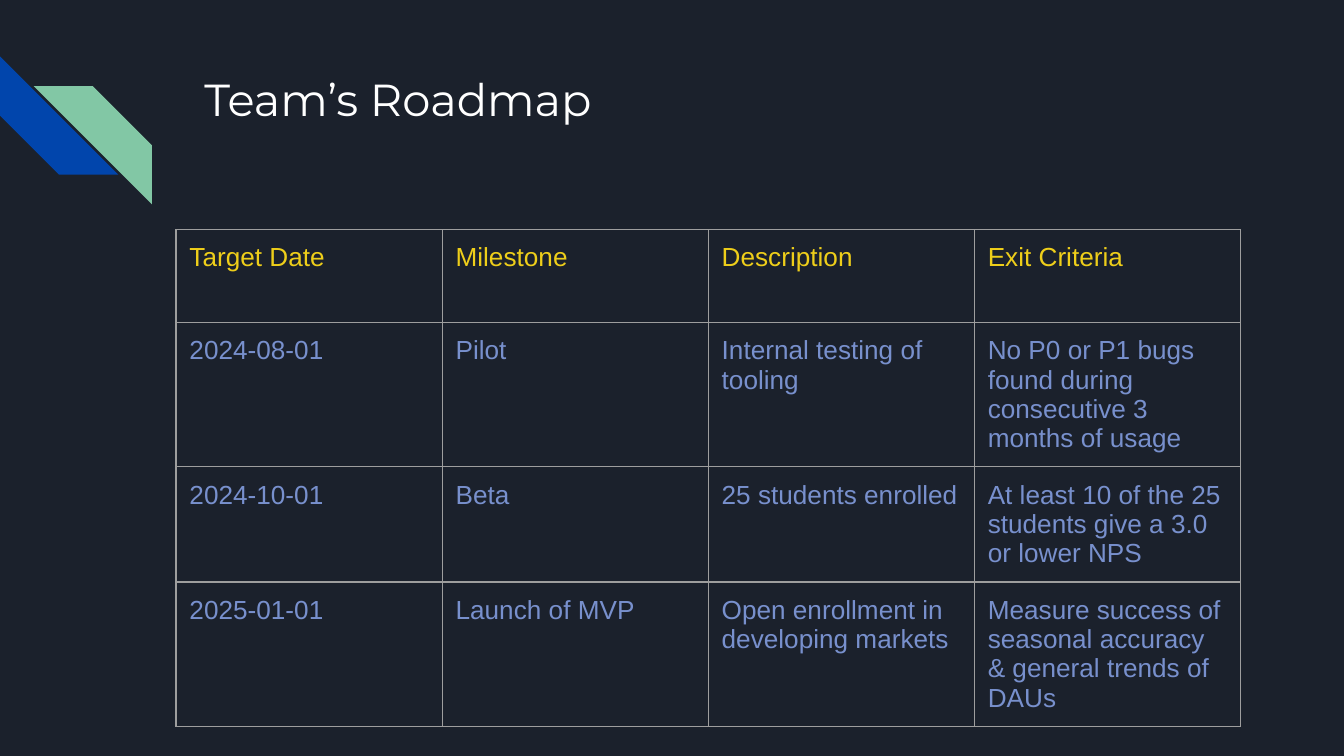
from dataclasses import dataclass

from lxml.etree import SubElement
from pptx import Presentation
from pptx.dml.color import RGBColor
from pptx.enum.shapes import MSO_SHAPE
from pptx.enum.text import MSO_ANCHOR, MSO_AUTO_SIZE, PP_ALIGN
from pptx.oxml.ns import qn
from pptx.util import Inches, Pt


@dataclass(frozen=True)
class Theme:
    background: str = "1B212C"
    blue: str = "0145AC"
    green: str = "82C7A5"
    title: str = "FFFFFF"
    heading: str = "EECE1A"
    body: str = "7890CD"
    border: str = "9E9E9E"
    title_font: str = "Montserrat"
    table_font: str = "Arial"
    title_size: int = 24
    table_size: int = 14
    border_width: float = 0.75


theme = Theme()


def style(paragraph, font_name, size, color):
    paragraph.alignment = PP_ALIGN.LEFT
    paragraph.font.name = font_name
    paragraph.font.size = Pt(size)
    paragraph.font.bold = False
    paragraph.font.color.rgb = RGBColor.from_string(color)


def add_borders(cell):
    properties = cell._tc.get_or_add_tcPr()
    for side in ("lnL", "lnR", "lnT", "lnB"):
        line = SubElement(properties, qn(f"a:{side}"), w=str(Pt(theme.border_width)))
        fill = SubElement(line, qn("a:solidFill"))
        SubElement(fill, qn("a:srgbClr"), val=theme.border)


prs = Presentation()
prs.slide_width, prs.slide_height = Inches(10), Inches(5.625)
slide = prs.slides.add_slide(prs.slide_layouts[5])
slide.background.fill.solid()
slide.background.fill.fore_color.rgb = RGBColor.from_string(theme.background)

for left, top, rotation, color in (
    (0, 0.42, 270, theme.blue),
    (0.25, 0.64, 90, theme.green),
):
    stripe = slide.shapes.add_shape(
        MSO_SHAPE.DIAGONAL_STRIPE, Inches(left), Inches(top), Inches(0.88), Inches(0.88)
    )
    stripe.rotation = rotation
    stripe.shadow.inherit = False
    stripe.fill.solid()
    stripe.fill.fore_color.rgb = RGBColor.from_string(color)
    stripe.line.fill.background()

title = slide.shapes.title
title.left, title.top = Inches(1.42), Inches(0.43)
title.width, title.height = Inches(7.7), Inches(1)
heading = title.text_frame
heading.text = "Team’s Roadmap"
heading.word_wrap = True
heading.auto_size = MSO_AUTO_SIZE.NONE
heading.vertical_anchor = MSO_ANCHOR.TOP
heading.margin_left = heading.margin_right = Inches(0.1)
heading.margin_top = heading.margin_bottom = Inches(0.1)
style(heading.paragraphs[0], theme.title_font, theme.title_size, theme.title)

milestones = [
    ("Target Date", "Milestone", "Description", "Exit Criteria"),
    ("2024-08-01", "Pilot", "Internal testing of tooling",
     "No P0 or P1 bugs found during consecutive 3 months of usage"),
    ("2024-10-01", "Beta", "25 students enrolled",
     "At least 10 of the 25 students give a 3.0 or lower NPS"),
    ("2025-01-01", "Launch of MVP", "Open enrollment in developing markets",
     "Measure success of seasonal accuracy & general trends of DAUs"),
]
row_heights = (0.69, 0.42, 0.42, 0.42)
column_width = 1.98

roadmap = slide.shapes.add_table(
    len(milestones), len(milestones[0]), Inches(1.31), Inches(1.71),
    Inches(column_width * len(milestones[0])), Inches(sum(row_heights)),
).table
roadmap.first_row = False
roadmap.horz_banding = False
for column in roadmap.columns:
    column.width = Inches(column_width)

for row_index, (milestone, height) in enumerate(zip(milestones, row_heights)):
    roadmap.rows[row_index].height = Inches(height)
    color = theme.body if row_index else theme.heading
    for column_index, wording in enumerate(milestone):
        cell = roadmap.cell(row_index, column_index)
        cell.text = wording
        cell.margin_left = cell.margin_right = Inches(0.1)
        cell.margin_top = cell.margin_bottom = Inches(0.1)
        add_borders(cell)
        cell.fill.background()
        style(cell.text_frame.paragraphs[0], theme.table_font, theme.table_size, color)

prs.save("out.pptx")
